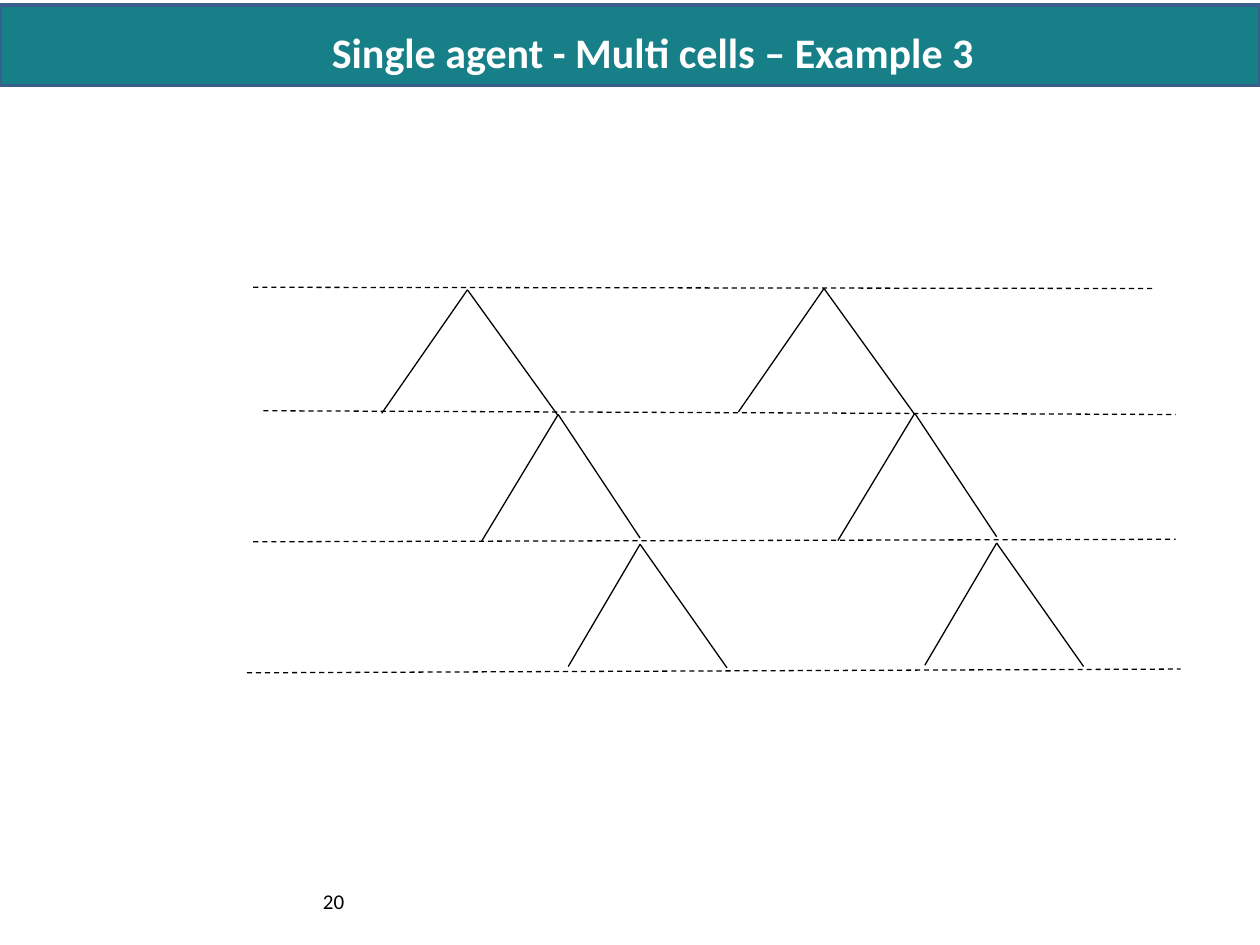
from lxml import etree
from pptx import Presentation
from pptx import util as u
from pptx.dml.color import RGBColor
from pptx.enum import dml, shapes, text
from pptx.oxml.ns import qn

COLS, ROWS = 100, 75


def color(value):
    return RGBColor.from_string(value)


class Deck:
    font = "Calibri"
    teal, border, ink, white = "177F87", "3A5F8C", "000000", "FFFFFF"

    def __init__(self):
        self.prs = Presentation()
        self.prs.slide_width, self.prs.slide_height = u.Inches(10), u.Inches(7.5)
        self.s = self.prs.slides.add_slide(self.prs.slide_layouts[6])

    def x(self, col):
        return round(self.prs.slide_width * col / COLS)

    def y(self, row):
        return round(self.prs.slide_height * row / ROWS)

    def box(self, col, row, cols, rows):
        return self.x(col), self.y(row), self.x(cols), self.y(rows)

    def band(self, *grid):
        sp = self.s.shapes.add_shape(shapes.MSO_SHAPE.RECTANGLE, *self.box(*grid))
        sp.shadow.inherit = False
        sp.fill.solid()
        sp.fill.fore_color.rgb = color(self.teal)
        sp.line.color.rgb = color(self.border)
        sp.line.width = u.Pt(2)

    def label(self, words, grid, size, fill, align, anchor, bold=False, rtl=False):
        tf = self.s.shapes.add_textbox(*self.box(*grid)).text_frame
        tf.word_wrap = True
        tf.vertical_anchor = anchor
        p = tf.paragraphs[0]
        p.alignment = align
        if rtl:
            p._p.get_or_add_pPr().set("rtl", "1")
        r = p.add_run()
        r.text = words
        r.font.name, r.font.size, r.font.bold = self.font, u.Pt(size), bold
        r.font.color.rgb = color(fill)

    def line(self, start, end, dashed=False):
        c = self.s.shapes.add_connector(
            shapes.MSO_CONNECTOR.STRAIGHT,
            self.x(start[0]), self.y(start[1]), self.x(end[0]), self.y(end[1]))
        c.line.color.rgb = color(self.ink)
        c.line.width = u.Pt(0.75)
        if dashed:
            c.line.dash_style = dml.MSO_LINE.DASH
        etree.SubElement(c._element.spPr, qn("a:effectLst"))

    def branch(self, apex, left, right):
        self.line(apex, right)
        self.line(apex, left)


def main():
    deck = Deck()
    deck.band(0, 0.4, 100, 6.4)
    deck.label("20", (5, 69.5, 23.3, 4), 12, deck.ink,
               text.PP_ALIGN.RIGHT, text.MSO_ANCHOR.MIDDLE)
    deck.label("Single agent - Multi cells – Example 3 ", (23.5, 1.6, 55.7, 5), 24,
               deck.white, text.PP_ALIGN.CENTER, text.MSO_ANCHOR.TOP, True, True)

    levels = [
        ((20.1, 22.8), (91.7, 22.9)),
        ((20.9, 32.6), (93.3, 32.9)),
        ((20.1, 43), (93.3, 42.8)),
        ((19.6, 53.4), (93.7, 53.1)),
    ]
    for start, end in levels:
        deck.line(start, end, dashed=True)

    branches = [
        ((37.1, 23), (30.3, 32.8), (44.3, 33)),
        ((44.3, 32.9), (38.2, 43), (50.8, 42.7)),
        ((50.8, 43.2), (45.1, 52.9), (57.7, 53)),
    ]
    for shift, lift in ((0, 0), (28.3, 0.1)):
        for points in branches:
            deck.branch(*((col + shift, row - lift) for col, row in points))

    deck.prs.save("out.pptx")


if __name__ == "__main__":
    main()
